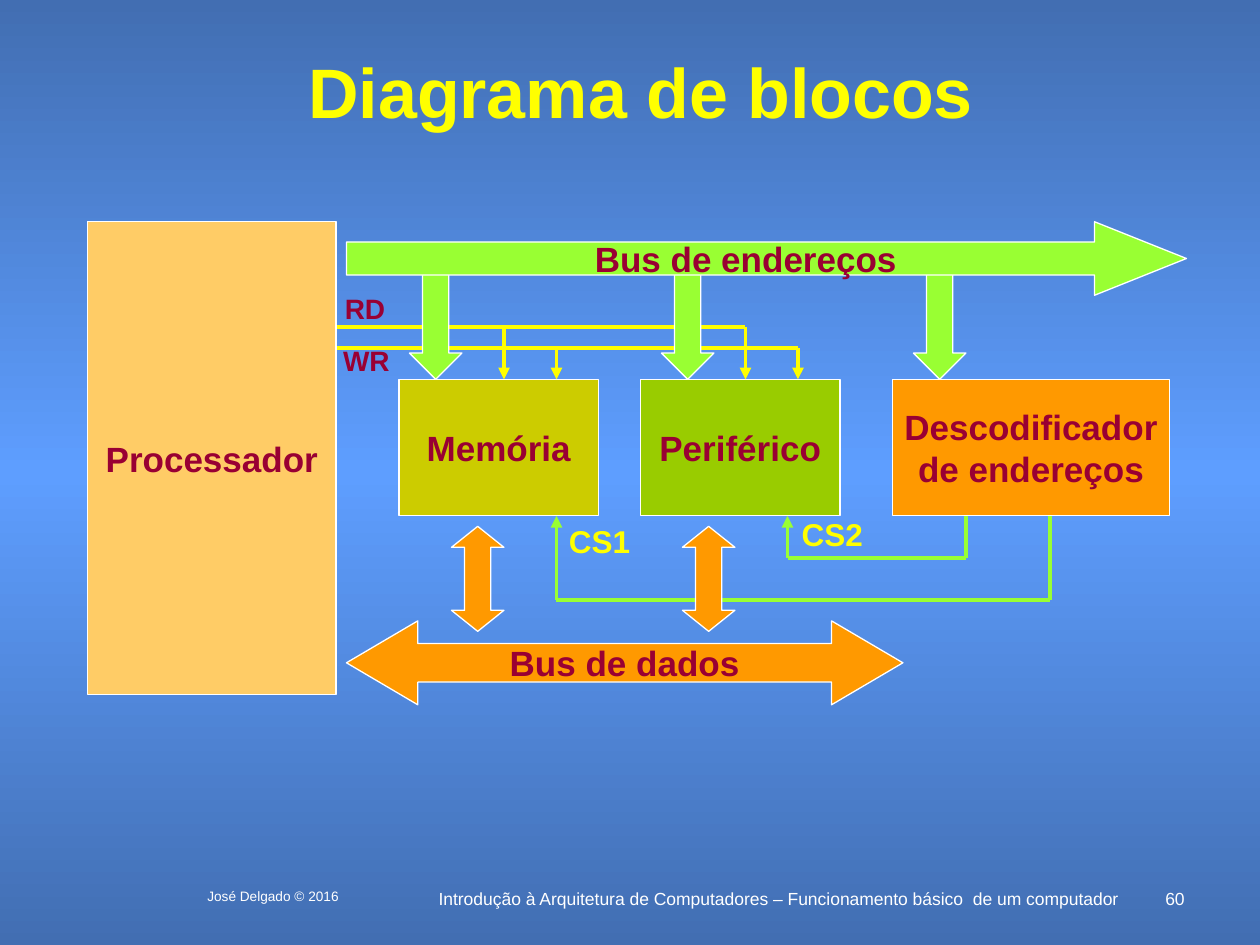
from copy import deepcopy
from dataclasses import dataclass
from itertools import pairwise

from lxml import etree
from pptx import Presentation
from pptx.dml.color import RGBColor
from pptx.enum.shapes import MSO_CONNECTOR, MSO_SHAPE
from pptx.enum.text import MSO_ANCHOR, MSO_AUTO_SIZE, PP_ALIGN
from pptx.oxml.ns import qn
from pptx.util import Pt

STRAIGHT = MSO_CONNECTOR.STRAIGHT
RECTANGLE = MSO_SHAPE.RECTANGLE
RIGHT_ARROW = MSO_SHAPE.RIGHT_ARROW
DOWN_ARROW = MSO_SHAPE.DOWN_ARROW
UP_DOWN_ARROW = MSO_SHAPE.UP_DOWN_ARROW
LEFT_RIGHT_ARROW = MSO_SHAPE.LEFT_RIGHT_ARROW
TOP, MIDDLE = MSO_ANCHOR.TOP, MSO_ANCHOR.MIDDLE
LEFT, CENTER, RIGHT = PP_ALIGN.LEFT, PP_ALIGN.CENTER, PP_ALIGN.RIGHT


@dataclass(frozen=True)
class Theme:
    font: str = "Arial"
    edge: str = "426EB2"
    glow: str = "5E9EFF"
    white: str = "FFFFFF"
    yellow: str = "FFFF00"
    maroon: str = "990033"
    address: str = "99FF33"
    data: str = "FF9900"
    processor: str = "FFCC66"
    memory: str = "CCCC00"
    peripheral: str = "99CC00"
    title_size: float = 40
    block_size: float = 20
    select_size: float = 18
    control_size: float = 16
    footer_size: float = 10
    credit_size: float = 7.8
    outline: float = 0.75
    wire: float = 2.25


THEME = Theme()

# Levels shared by the blocks, buses and wires
DIAGRAM_TOP = 126.75
READ_LEVEL, WRITE_LEVEL = 186.75, 198.75
BLOCK_TOP, BLOCK_HEIGHT = 216.75, 78
BLOCK_BOTTOM = BLOCK_TOP + BLOCK_HEIGHT
PROCESSOR_RIGHT = 192


def color(value):
    return RGBColor.from_string(value)


def paint_background(slide):
    fill = slide.background.fill
    fill.gradient()
    fill.gradient_angle = 90
    stop_list = next(slide.element.iter(qn("a:gsLst")))
    stop_list.append(deepcopy(stop_list[0]))
    stops = ((0, THEME.edge), (0.5, THEME.glow), (1, THEME.edge))
    for stop, (position, value) in zip(fill.gradient_stops, stops):
        stop.position = position
        stop.color.rgb = color(value)


def write_text(shape, text, size, text_color, bold, align, anchor, wrap):
    frame = shape.text_frame
    frame.text = text
    frame.word_wrap = wrap
    frame.vertical_anchor = anchor
    for paragraph in frame.paragraphs:
        paragraph.alignment = align
        for run in paragraph.runs:
            run.font.name = THEME.font
            run.font.size = Pt(size)
            run.font.bold = bold
            run.font.color.rgb = color(text_color)


def add_text(slide, box, text, size, text_color=THEME.white, bold=False,
             align=CENTER, anchor=TOP):
    shape = slide.shapes.add_textbox(*map(Pt, box))
    write_text(shape, text, size, text_color, bold, align, anchor, True)


def add_label(slide, box, text, size, text_color):
    """Add a signal name whose box grows with its text."""
    shape = slide.shapes.add_textbox(*map(Pt, box))
    write_text(shape, text, size, text_color, True, LEFT, TOP, False)
    shape.text_frame.auto_size = MSO_AUTO_SIZE.SHAPE_TO_FIT_TEXT


def set_arrow_proportions(shape, shaft, head):
    """Write both guides by name, as the up-down arrow lists one of them twice."""
    guides = next(shape.element.iter(qn("a:avLst")))
    for guide in list(guides):
        guides.remove(guide)
    for name, value in (("adj1", shaft), ("adj2", head)):
        etree.SubElement(guides, qn("a:gd"), name=name,
                         fmla=f"val {round(value * 100000)}")


def add_block(slide, kind, box, fill, text="", proportions=None):
    shape = slide.shapes.add_shape(kind, *map(Pt, box))
    shape.shadow.inherit = False
    shape.fill.solid()
    shape.fill.fore_color.rgb = color(fill)
    shape.line.color.rgb = color(THEME.white)
    shape.line.width = Pt(THEME.outline)
    if proportions:
        set_arrow_proportions(shape, *proportions)
    if text:
        write_text(shape, text, THEME.block_size, THEME.maroon, True,
                   CENTER, MIDDLE, False)


def add_wire(slide, points, wire_color, arrow=True):
    """Join the points by straight lines, with an arrowhead at the last one."""
    for start, end in pairwise(points):
        line = slide.shapes.add_connector(STRAIGHT, *map(Pt, start + end))
        line.line.color.rgb = color(wire_color)
        line.line.width = Pt(THEME.wire)
        properties = line.element.spPr
        if arrow and end == points[-1]:
            etree.SubElement(properties.find(qn("a:ln")), qn("a:tailEnd"),
                             type="triangle")
        etree.SubElement(properties, qn("a:effectLst"))


def add_blocks(slide):
    add_block(slide, RECTANGLE, (50.2, DIAGRAM_TOP, 141.8, 270),
              THEME.processor, "Processador")
    for left, width, fill, text in (
        (228, 114, THEME.memory, "Memória"),
        (366, 114, THEME.peripheral, "Periférico"),
        (510, 158.4, THEME.data, "Descodificador\nde endereços"),
    ):
        add_block(slide, RECTANGLE, (left, BLOCK_TOP, width, BLOCK_HEIGHT),
                  fill, text)


def add_address_branches(slide):
    for left in (234, 378, 522):
        add_block(slide, DOWN_ARROW, (left, BLOCK_TOP - 60, 30, 60),
                  THEME.address)


def add_control_trunks(slide):
    for level, right in ((READ_LEVEL, 426), (WRITE_LEVEL, 456)):
        add_wire(slide, ((PROCESSOR_RIGHT, level), (right, level)),
                 THEME.yellow, arrow=False)


def add_control_drops(slide):
    for level, columns in ((READ_LEVEL, (288, 426)), (WRITE_LEVEL, (318, 456))):
        for x in columns:
            add_wire(slide, ((x, level), (x, BLOCK_TOP)), THEME.yellow)


def add_chip_selects(slide):
    for source, target, level in ((600, 318, 342.75), (552, 450, 318.75)):
        add_wire(slide, ((source, BLOCK_BOTTOM), (source, level),
                         (target, level), (target, BLOCK_BOTTOM)),
                 THEME.address)


def add_buses(slide):
    for left in (258, 390):
        add_block(slide, UP_DOWN_ARROW, (left, BLOCK_BOTTOM + 6, 30, 60),
                  THEME.data, proportions=(0.5, 0.4))
    add_block(slide, LEFT_RIGHT_ARROW, (198, 354.75, 318, 48), THEME.data,
              "Bus de dados", (0.46, 0.85))
    add_block(slide, RIGHT_ARROW, (198, DIAGRAM_TOP, 480, 42), THEME.address,
              "Bus de endereços", (0.45, 1.25))


def add_signal_names(slide):
    for box, text, size, text_color in (
        ((318, 294.5, 51, 29), "CS1", THEME.select_size, THEME.yellow),
        ((451, 290.5, 51, 29), "CS2", THEME.select_size, THEME.yellow),
        ((190, 163, 39, 26.5), "RD", THEME.control_size, THEME.maroon),
        ((189, 193, 42, 26.5), "WR", THEME.control_size, THEME.maroon),
    ):
        add_label(slide, box, text, size, text_color)


def add_footer(slide):
    add_text(slide, (243.4, 504, 402.5, 18),
             "Introdução à Arquitetura de Computadores – "
             "Funcionamento básico  de um computador", THEME.footer_size)
    add_text(slide, (653.8, 504, 30.2, 12), "60", THEME.footer_size,
             align=RIGHT)
    add_text(slide, (96, 504, 120, 18), "José Delgado © 2016",
             THEME.credit_size)


def main():
    presentation = Presentation()
    presentation.slide_width, presentation.slide_height = Pt(720), Pt(540)
    slide = presentation.slides.add_slide(presentation.slide_layouts[6])
    paint_background(slide)
    add_footer(slide)
    add_text(slide, (54, 24.5, 624, 54), "Diagrama de blocos",
             THEME.title_size, THEME.yellow, True, anchor=MIDDLE)
    add_control_trunks(slide)
    add_blocks(slide)
    add_address_branches(slide)
    add_chip_selects(slide)
    add_control_drops(slide)
    add_buses(slide)
    add_signal_names(slide)
    presentation.save("out.pptx")


if __name__ == "__main__":
    main()
